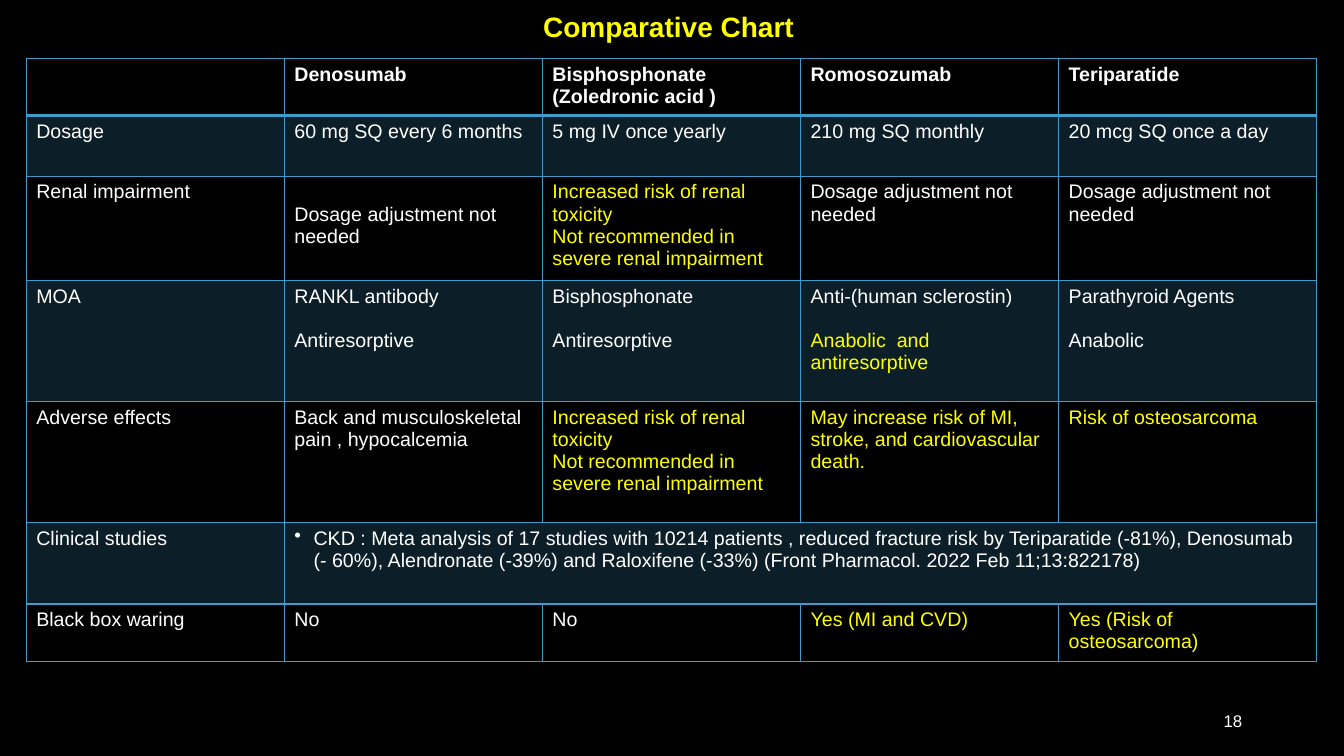
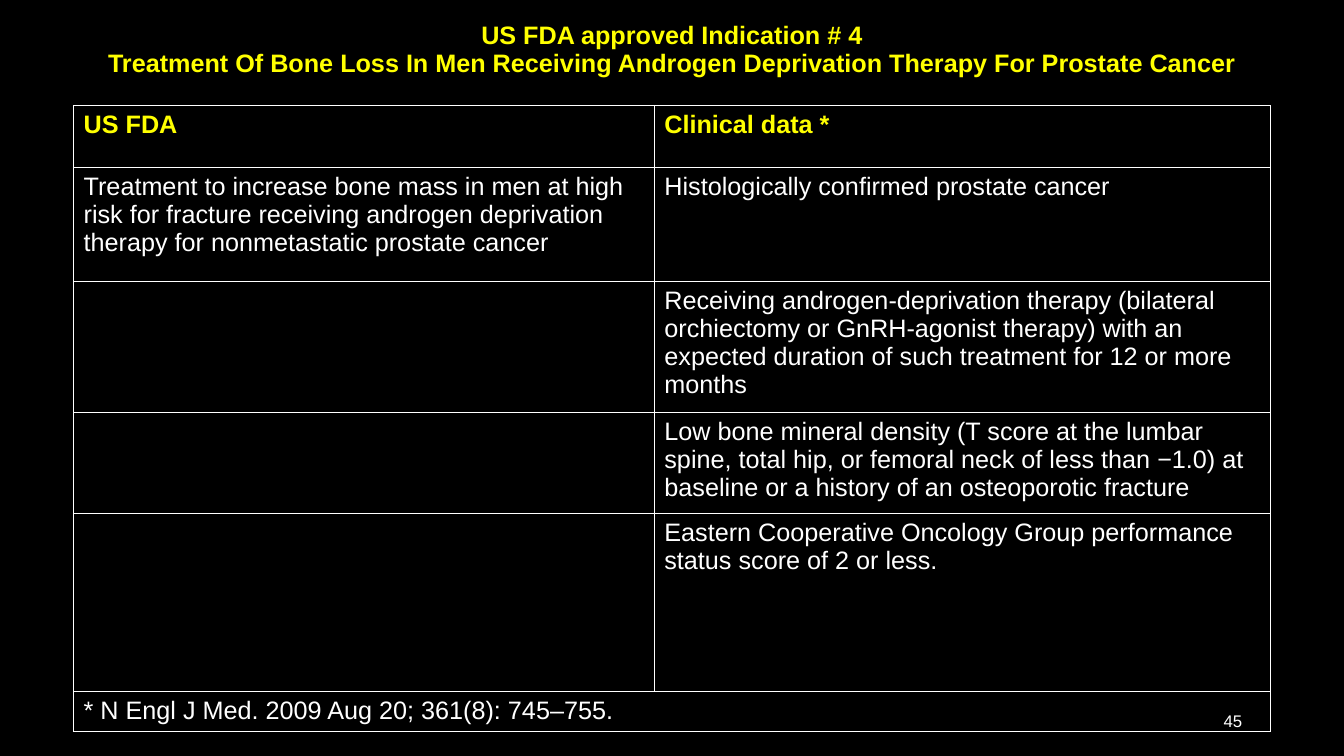
"""Build two table slides comparing bone-loss treatments."""
from pptx import Presentation
from pptx import util as u
from pptx.dml import color as dml
from pptx.enum import text
from pptx.oxml import ns, xmlchemy

Inches, Pt = u.Inches, u.Pt
BLACK, WHITE, YELLOW, BLUE = "000000", "FFFFFF", "FFFF00", "3D9CCC"


def rgb(code):
    return dml.RGBColor.from_string(code)


def add_element(parent, tag, **attributes):
    child = xmlchemy.OxmlElement(tag)
    for name, value in attributes.items():
        child.set(name, str(value))
    parent.append(child)
    return child


def write(frame, words, size=14, color=WHITE, bold=False, align=text.PP_ALIGN.LEFT,
          spacing=None, before=0, bullet=False):
    paragraph = frame.paragraphs[0]
    if paragraph.runs:
        paragraph = frame.add_paragraph()
    if bullet:
        properties = paragraph._p.get_or_add_pPr()
        properties.set("marL", str(Inches(0.19)))
        properties.set("indent", str(Inches(-0.19)))
        add_element(add_element(properties, "a:buClr"), "a:srgbClr", val=WHITE)
        add_element(properties, "a:buChar", char="•")
    paragraph.alignment = align
    paragraph.line_spacing = spacing
    paragraph.space_before = Pt(before)
    run = paragraph.add_run()
    run.text = words
    font = run.font
    font.name, font.size, font.bold = "Arial", Pt(size), bold
    font.color.rgb = rgb(color)


def styled(words, **style):
    return words, style


def key(words, **style):
    return styled(words, color=YELLOW, **style)


class Deck:
    def __init__(self):
        self.presentation = Presentation()
        self.presentation.slide_width = Inches(13.33)
        self.presentation.slide_height = Inches(7.5)
        background = self.presentation.slide_master.background.fill
        background.solid()
        background.fore_color.rgb = rgb(BLACK)
        self.slide = None

    def add_slide(self, number):
        self.slide = self.presentation.slides.add_slide(self.presentation.slide_layouts[5])
        box = self.slide.shapes.add_textbox(Inches(9.42), Inches(6.95), Inches(3), Inches(0.4))
        box.text_frame.word_wrap = True
        box.text_frame.vertical_anchor = text.MSO_ANCHOR.MIDDLE
        write(box.text_frame, str(number), size=12, align=text.PP_ALIGN.RIGHT)

    def title(self, lines, left, width, height, size):
        title = self.slide.shapes.title
        title.left, title.top = Inches(left), Inches(0)
        title.width, title.height = Inches(width), Inches(height)
        frame = title.text_frame
        frame.vertical_anchor = text.MSO_ANCHOR.MIDDLE
        frame.auto_size = text.MSO_AUTO_SIZE.NONE
        for line in lines:
            write(frame, line, size=size, color=YELLOW, bold=True,
                  align=text.PP_ALIGN.CENTER, spacing=0.9)

    def table(self, rows, left, top, widths, heights, line, size,
              header_color=WHITE, header_rule=1, banded=False):
        frame = self.slide.shapes.add_table(
            len(heights), len(widths), Inches(left), Inches(top),
            Inches(sum(widths)), Inches(sum(heights)))
        table = frame.table
        table.first_row = table.horz_banding = False
        for column, width in zip(table.columns, widths):
            column.width = Inches(width)
        for row, height in zip(table.rows, heights):
            row.height = Inches(height)
        for r, entries in enumerate(rows):
            for c in range(len(widths)):
                cell = table.cell(r, c)
                self.borders(cell, line, top=header_rule if r == 1 else 1,
                             bottom=header_rule if r == 0 else 1)
                self.fill(cell, BLUE if banded and r % 2 else None)
                if c < len(entries):
                    base = {"size": size}
                    if r == 0:
                        base.update(bold=True, color=header_color)
                    self.fill_text(cell, entries[c], base)
            if len(entries) < len(widths):
                table.cell(r, len(entries) - 1).merge(table.cell(r, len(widths) - 1))
        return table

    def fill_text(self, cell, entry, base):
        for line in entry if isinstance(entry, list) else [entry]:
            words, style = line if isinstance(line, tuple) else (line, {})
            if words:
                write(cell.text_frame, words, **{**base, **style})

    def borders(self, cell, color, top, bottom):
        properties = cell._tc.get_or_add_tcPr()
        for side, width in (("L", 1), ("R", 1), ("T", top), ("B", bottom)):
            border = add_element(properties, f"a:ln{side}", w=Pt(width))
            add_element(add_element(border, "a:solidFill"), "a:srgbClr", val=color)

    def fill(self, cell, color):
        if color is None:
            cell.fill.background()
            return
        cell.fill.solid()
        cell.fill.fore_color.rgb = rgb(color)
        swatch = cell._tc.tcPr.find(ns.qn("a:solidFill")).find(ns.qn("a:srgbClr"))
        add_element(swatch, "a:alpha", val=20000)


RENAL_RISK = [key("Increased risk of renal toxicity"),
              key("Not recommended in severe renal impairment")]
NO_ADJUSTMENT = "Dosage adjustment not needed"
LINE_GAP = 16

COMPARISON = [
    ["", "Denosumab", "Bisphosphonate (Zoledronic acid )", "Romosozumab", "Teriparatide"],
    ["Dosage", "60 mg SQ every 6 months", "5 mg IV once yearly", "210 mg SQ monthly",
     "20 mcg SQ once a day"],
    ["Renal impairment", NO_ADJUSTMENT, RENAL_RISK, NO_ADJUSTMENT, NO_ADJUSTMENT],
    ["MOA",
     ["RANKL antibody", styled("Antiresorptive", before=LINE_GAP)],
     ["Bisphosphonate", styled("Antiresorptive", before=LINE_GAP)],
     ["Anti-(human sclerostin)", key("Anabolic  and antiresorptive", before=LINE_GAP)],
     ["Parathyroid Agents", styled("Anabolic", before=LINE_GAP)]],
    ["Adverse effects", "Back and musculoskeletal pain , hypocalcemia", RENAL_RISK,
     key("May increase risk of MI, stroke, and cardiovascular death."),
     key("Risk of osteosarcoma")],
    ["Clinical studies",
     styled("CKD : Meta analysis of 17 studies with 10214 patients , reduced fracture risk by "
            "Teriparatide (-81%), Denosumab (- 60%), Alendronate (-39%) and Raloxifene (-33%) "
            "(Front Pharmacol. 2022 Feb 11;13:822178)", bullet=True)],
    ["Black box waring", "No", "No", key("Yes (MI and CVD)"),
     key("Yes (Risk of osteosarcoma)")],
]

INDICATION = [
    ["US FDA", "Clinical data *"],
    ["Treatment to increase bone mass in men at high risk for fracture receiving androgen "
     "deprivation therapy for nonmetastatic prostate cancer",
     "Histologically confirmed prostate cancer"],
    ["", "Receiving androgen-deprivation therapy (bilateral orchiectomy or GnRH-agonist "
         "therapy) with an expected duration of such treatment for 12 or more months"],
    ["", "Low bone mineral density (T score at the lumbar spine, total hip, or femoral neck of "
         "less than −1.0) at baseline or a history of an osteoporotic fracture"],
    ["", "Eastern Cooperative Oncology Group performance status score of 2 or less."],
    ["* N Engl J Med. 2009 Aug 20; 361(8): 745–755."],
]


def main():
    deck = Deck()

    deck.add_slide(18)
    deck.title(["Comparative Chart "], left=0.92, width=11.5, height=0.57, size=20)
    comparison = deck.table(
        COMPARISON, left=0.26, top=0.58, widths=[2.56] * 5,
        heights=[0.54, 0.6, 0.97, 1.2, 1.2, 0.81, 0.54],
        line=BLUE, size=14, header_rule=2, banded=True)
    comparison.cell(2, 1).margin_top = Inches(0.27)

    deck.add_slide(45)
    deck.title(["US FDA approved Indication # 4",
                "Treatment Of Bone Loss In Men Receiving Androgen Deprivation Therapy "
                "For Prostate Cancer"], left=0.48, width=12.37, height=1, size=18)
    deck.table(
        INDICATION, left=0.73, top=1.05, widths=[5.76, 6.11],
        heights=[0.61, 1.13, 1.22, 0.93, 1.77, 0.38],
        line=WHITE, size=18, header_color=YELLOW)

    deck.presentation.save("out.pptx")


if __name__ == "__main__":
    main()
